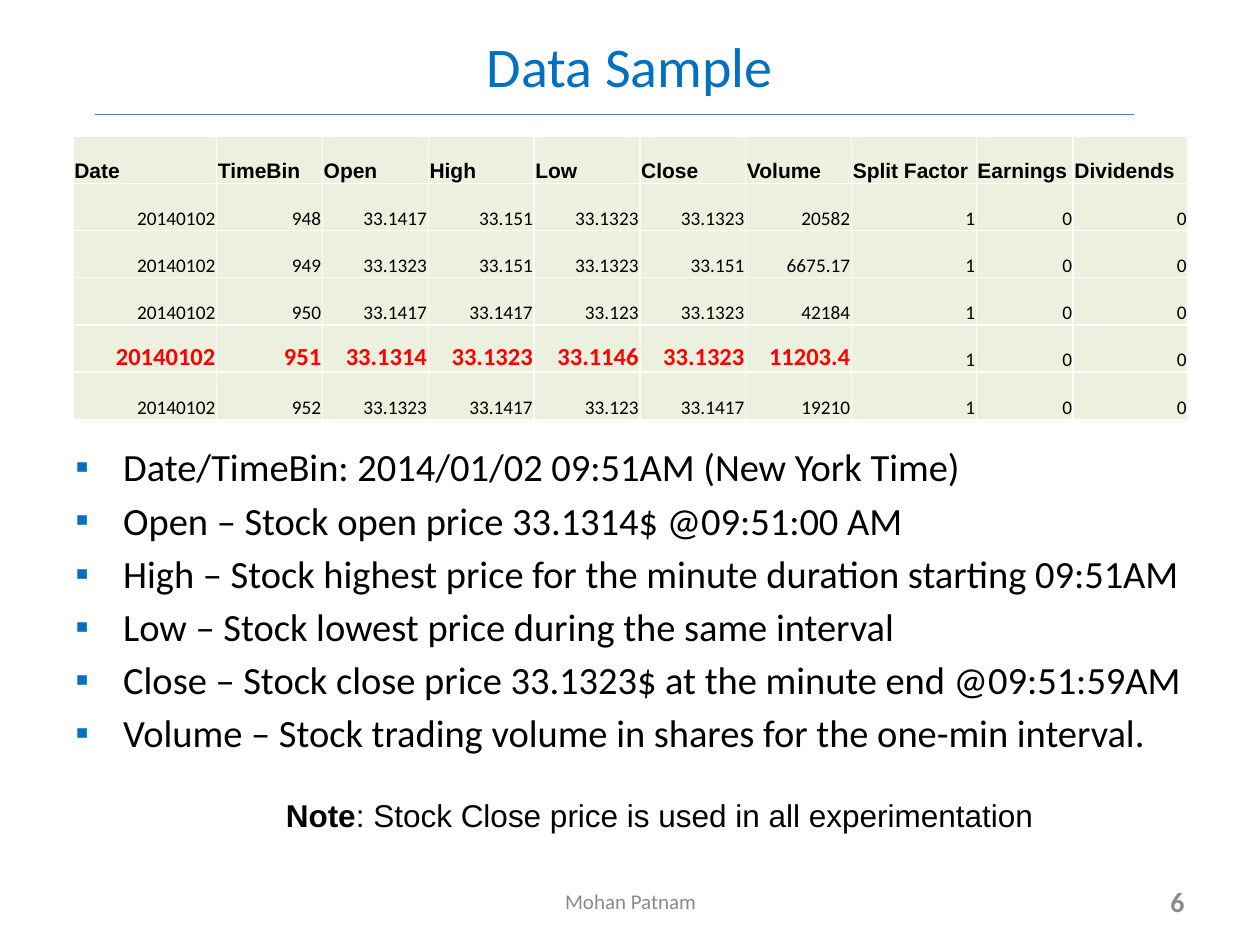
from lxml.etree import SubElement
from pptx import Presentation
from pptx.dml.color import RGBColor as RGB
from pptx.enum.shapes import MSO_CONNECTOR as LINK
from pptx.enum.text import MSO_ANCHOR as ANCHOR, PP_ALIGN as ALIGN
from pptx.oxml.ns import qn
from pptx.util import Inches, Pt

THEME = {
    "title": {"name": "Calibri", "size": Pt(32), "color": "0070C0"},
    "body": {"name": "Calibri", "size": Pt(22), "color": "000000"},
    "foot": {"name": "Calibri", "size": Pt(12), "color": "898989"},
    "page": {"name": "Calibri", "size": Pt(16), "color": "8C8C8C", "bold": True},
    "note": {"name": "Arial", "size": Pt(18), "color": "000000", "bold": False},
    "lead": {"name": "Arial", "size": Pt(18), "color": "000000", "bold": True},
    "head": {"name": "Arial", "size": Pt(12), "color": "000000", "bold": True},
    "cell": {"name": "Calibri", "size": Pt(11), "color": "000000", "bold": False},
    "mark": {"name": "Calibri", "size": Pt(14), "color": "FF0000", "bold": True},
    "bullet": "0070C0",
    "fill": "EBF1DE",
    "border": "FFFFFF",
    "rule": "4B7EBC",
}


def write(para, text, style):
    run = para.add_run()
    run.text = text
    for key, value in THEME[style].items():
        if key == "color":
            run.font.color.rgb = RGB.from_string(value)
        else:
            setattr(run.font, key, value)


def add_box(left, top, width, height, anchor=ANCHOR.TOP):
    box = slide.shapes.add_textbox(Inches(left), Inches(top), Inches(width), Inches(height))
    frame = box.text_frame
    frame.word_wrap = True
    frame.vertical_anchor = anchor
    return frame


deck = Presentation()
deck.slide_width, deck.slide_height = Inches(10), Inches(7.5)
slide = deck.slides.add_slide(deck.slide_layouts[6])

labels = [
    ("Data Sample", "title", ALIGN.CENTER, (0.5, 0.13, 9, 0.78)),
    ("Mohan Patnam", "foot", ALIGN.CENTER, (3.42, 6.95, 3.17, 0.4)),
    ("6", "page", ALIGN.RIGHT, (7.17, 6.95, 2.33, 0.4)),
]
for text, style, align, place in labels:
    para = add_box(*place, ANCHOR.MIDDLE).paragraphs[0]
    para.alignment = align
    write(para, text, style)

points = [
    "Date/TimeBin: 2014/01/02 09:51AM (New York Time)",
    "Open – Stock open price 33.1314$ @09:51:00 AM",
    "High – Stock highest price for the minute duration starting 09:51AM",
    "Low – Stock lowest price during the same interval",
    "Close – Stock close price 33.1323$ at the minute end @09:51:59AM",
    "Volume – Stock trading volume in shares for the one-min interval.",
]
body = add_box(0.5, 3.47, 9, 2.7)
for i, text in enumerate(points):
    para = body.add_paragraph() if i else body.paragraphs[0]
    props = para._p.get_or_add_pPr()
    props.set("marL", str(Inches(0.38)))
    props.set("indent", str(Inches(-0.38)))
    tint = SubElement(props, qn("a:buClr"))
    SubElement(tint, qn("a:srgbClr"), val=THEME["bullet"])
    SubElement(props, qn("a:buFont"), typeface="Arial")
    SubElement(props, qn("a:buChar"), char="▪")
    if i:
        para.space_before = Pt(4)
    write(para, text, "body")

rows = [
    ["Date", "TimeBin", "Open", "High", "Low", "Close", "Volume",
     "Split Factor", "Earnings", "Dividends"],
    ["20140102", "948", "33.1417", "33.151", "33.1323", "33.1323", "20582", "1", "0", "0"],
    ["20140102", "949", "33.1323", "33.151", "33.1323", "33.151", "6675.17", "1", "0", "0"],
    ["20140102", "950", "33.1417", "33.1417", "33.123", "33.1323", "42184", "1", "0", "0"],
    ["20140102", "951", "33.1314", "33.1323", "33.1146", "33.1323", "11203.4", "1", "0", "0"],
    ["20140102", "952", "33.1323", "33.1417", "33.123", "33.1417", "19210", "1", "0", "0"],
]
widths = [1.14] + [0.84] * 6 + [0.99, 0.77, 0.91]
table = slide.shapes.add_table(
    len(rows), len(widths), Inches(0.58), Inches(1.08), Inches(8.83), Inches(2.25)
).table
table.first_row = table.horz_banding = False
for col, width in zip(table.columns, widths):
    col.width = Inches(width)

layout = {
    "margin_left": Inches(0.01),
    "margin_top": Inches(0.01),
    "margin_right": Inches(0.01),
    "margin_bottom": 0,
    "vertical_anchor": ANCHOR.BOTTOM,
}
for r, row in enumerate(rows):
    for c, text in enumerate(row):
        cell = table.cell(r, c)
        for key, value in layout.items():
            setattr(cell, key, value)
        props = cell._tc.get_or_add_tcPr()
        for side in ("lnL", "lnR", "lnT", "lnB"):
            edge = SubElement(props, qn(f"a:{side}"), w=str(Pt(1)))
            paint = SubElement(edge, qn("a:solidFill"))
            SubElement(paint, qn("a:srgbClr"), val=THEME["border"])
        cell.fill.solid()
        cell.fill.fore_color.rgb = RGB.from_string(THEME["fill"])
        para = cell.text_frame.paragraphs[0]
        para.alignment = ALIGN.RIGHT if r else ALIGN.LEFT
        style = "head" if r == 0 else "mark" if r == 4 and c < 7 else "cell"
        write(para, text, style)

rule = slide.shapes.add_connector(LINK.STRAIGHT, Inches(0.75), Inches(0.91), Inches(9), Inches(0.91))
rule.line.color.rgb = RGB.from_string(THEME["rule"])
rule.line.width = Pt(0.75)
SubElement(rule._element.spPr, qn("a:effectLst"))

note = add_box(2.17, 6.27, 6.38, 0.4).paragraphs[0]
write(note, "Note", "lead")
write(note, ": Stock Close price is used in all experimentation", "note")

deck.save("out.pptx")
